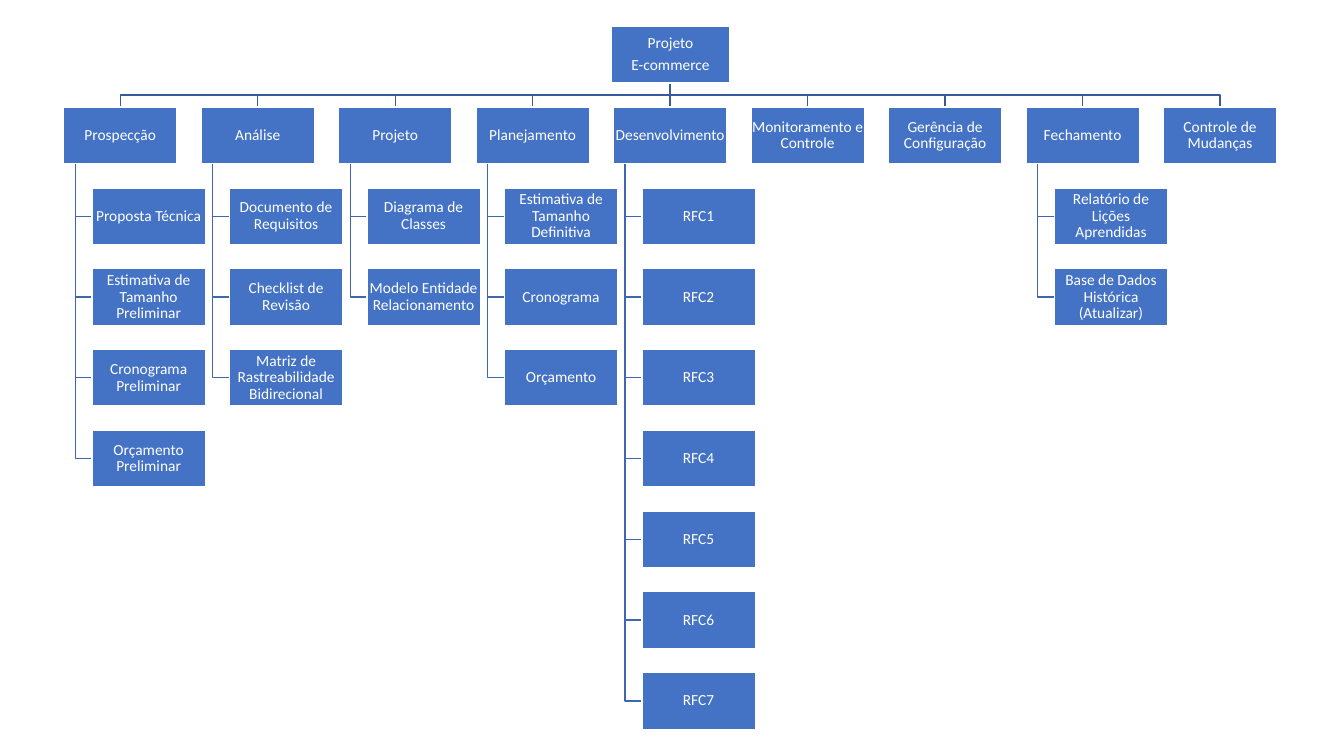
from dataclasses import dataclass

from lxml import etree
from pptx import Presentation
from pptx import util as u
from pptx.dml.color import RGBColor
from pptx.enum import shapes, text
from pptx.oxml.ns import qn


@dataclass(frozen=True)
class Theme:
    """Colours and type of the chart."""
    box: RGBColor = RGBColor(0x44, 0x72, 0xC4)
    paper: RGBColor = RGBColor(0xFF, 0xFF, 0xFF)
    trunk: RGBColor = RGBColor(0x36, 0x5B, 0x9D)
    twig: RGBColor = RGBColor(0x3E, 0x67, 0xB2)
    font: str = "Calibri"
    size: float = 11
    line: float = 1


@dataclass(frozen=True)
class Box:
    """A rectangle in points."""
    x: float
    y: float
    w: float
    h: float

    @property
    def cx(self):
        """Return the horizontal centre."""
        return self.x + self.w / 2

    @property
    def cy(self):
        """Return the vertical centre."""
        return self.y + self.h / 2

    @property
    def bottom(self):
        """Return the lower edge."""
        return self.y + self.h

    def moved(self, dx=0, dy=0):
        """Return the same box at an offset."""
        return Box(self.x + dx, self.y + dy, self.w, self.h)


THEME = Theme()
ROOT = ["Projeto", "E-commerce"]
ROOT_BOX = Box(436.9, 18.9, 84.2, 40.5)
FIRST_BRANCH = Box(45.4, 76.5, 81, 40.5)
COLUMN_STEP, ROW_STEP = 98.2, 57.7
CHILD_INDENT, SPINE_INDENT = 20.3, 8.4
BRANCHES = [
    ("Prospecção", ["Proposta Técnica", "Estimativa de Tamanho Preliminar",
                    "Cronograma Preliminar", "Orçamento Preliminar"]),
    ("Análise", ["Documento de Requisitos", "Checklist de Revisão",
                 "Matriz de Rastreabilidade Bidirecional"]),
    ("Projeto", ["Diagrama de Classes", "Modelo Entidade Relacionamento"]),
    ("Planejamento", ["Estimativa de Tamanho Definitiva", "Cronograma", "Orçamento"]),
    ("Desenvolvimento", [f"RFC{n}" for n in range(1, 8)]),
    ("Monitoramento e Controle", []),
    ("Gerência de Configuração", []),
    ("Fechamento", ["Relatório de Lições Aprendidas",
                    "Base de Dados Histórica (Atualizar)"]),
    ("Controle de Mudanças", []),
]


def add_node(s, box, lines):
    """Draw one labelled box."""
    sp = s.shapes.add_shape(shapes.MSO_SHAPE.RECTANGLE,
                            *map(u.Pt, (box.x, box.y, box.w, box.h)))
    sp.shadow.inherit = False
    sp.fill.solid()
    sp.fill.fore_color.rgb = THEME.box
    sp.line.color.rgb = THEME.paper
    sp.line.width = u.Pt(THEME.line)
    tf = sp.text_frame
    tf.word_wrap = True
    tf.vertical_anchor = text.MSO_ANCHOR.MIDDLE
    tf.margin_left = tf.margin_right = tf.margin_top = tf.margin_bottom = u.Pt(0.7)
    tf.text = "\n".join(lines)
    for p in tf.paragraphs:
        p.alignment = text.PP_ALIGN.CENTER
        p.line_spacing = 0.9
        p.space_after = u.Pt(4)
        p.font.name = THEME.font
        p.font.size = u.Pt(THEME.size)
        p.font.color.rgb = THEME.paper


def add_link(s, points, color):
    """Draw a straight or bent line through the points."""
    points = [(u.Pt(x), u.Pt(y)) for x, y in points]
    if len({x for x, _ in points}) == 1:
        sp = s.shapes.add_connector(shapes.MSO_CONNECTOR.STRAIGHT,
                                    *points[0], *points[-1])
        etree.SubElement(sp.line._get_or_add_ln().getparent(), qn("a:effectLst"))
    else:
        path_builder = s.shapes.build_freeform(*points[0])
        path_builder.add_line_segments(points[1:], close=False)
        sp = path_builder.convert_to_shape()
        sp.shadow.inherit = False
        sp.fill.background()
    sp.line.color.rgb = color
    sp.line.width = u.Pt(THEME.line)


def add_branch(s, box, name, children):
    """Draw a branch heading with its children hanging from a spine."""
    spine = box.x + SPINE_INDENT
    for row, child in reversed(list(enumerate(children, 1))):
        child_box = box.moved(CHILD_INDENT, row * ROW_STEP)
        add_link(s, [(spine, box.bottom), (spine, child_box.cy),
                     (child_box.x, child_box.cy)], THEME.twig)
        add_node(s, child_box, [child])
    add_node(s, box, [name])


def add_chart_slide(prs):
    """Draw the work breakdown chart on a blank slide."""
    s = prs.slides.add_slide(prs.slide_layouts[6])
    boxes = [FIRST_BRANCH.moved(i * COLUMN_STEP) for i in range(len(BRANCHES))]
    root_x = boxes[len(boxes) // 2].cx
    bus = (ROOT_BOX.bottom + FIRST_BRANCH.y) / 2
    for box in boxes:
        add_link(s, [(root_x, ROOT_BOX.bottom), (root_x, bus),
                     (box.cx, bus), (box.cx, box.y)], THEME.trunk)
    add_node(s, ROOT_BOX, ROOT)
    for box, (name, children) in zip(boxes, BRANCHES):
        add_branch(s, box, name, children)


def main():
    """Build and save the presentation."""
    prs = Presentation()
    prs.slide_width, prs.slide_height = u.Pt(960), u.Pt(540)
    add_chart_slide(prs)
    prs.save("out.pptx")


if __name__ == "__main__":
    main()
